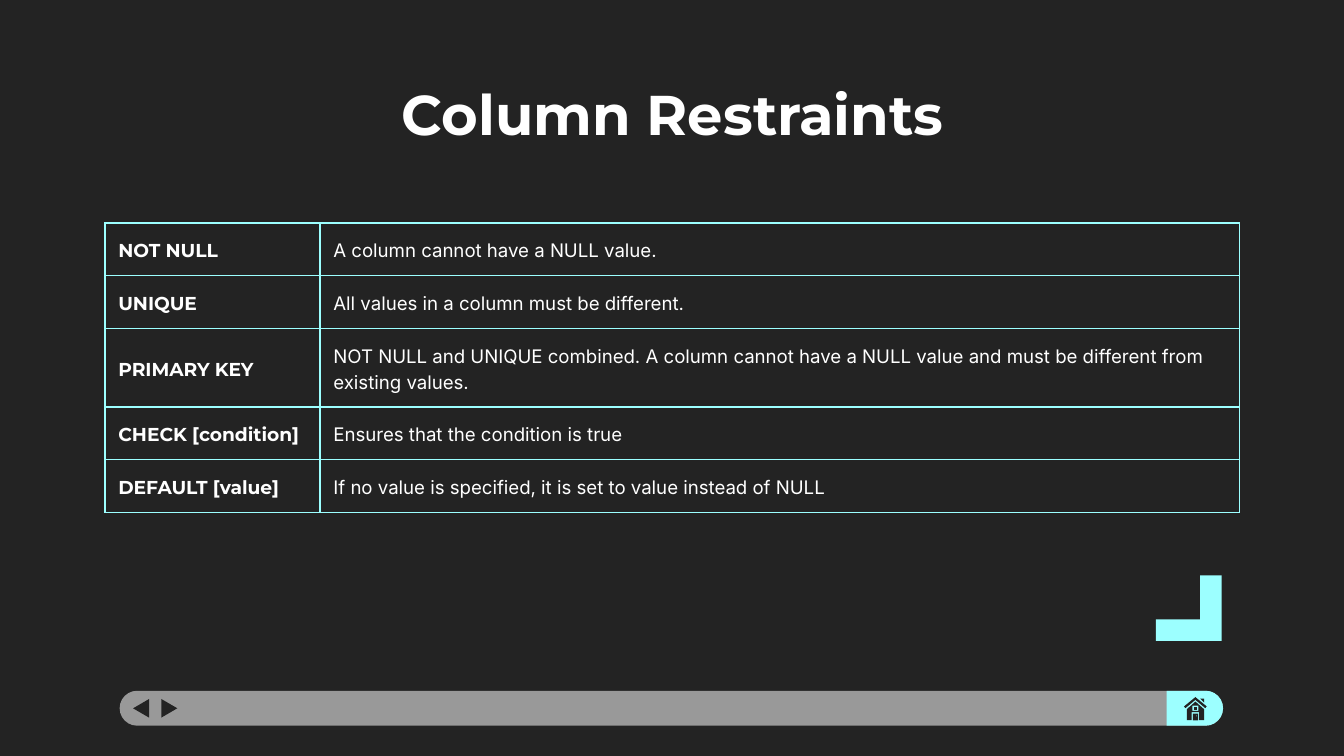
from dataclasses import dataclass
from lxml.etree import SubElement
from pptx import Presentation
from pptx.dml.color import RGBColor
from pptx.enum.shapes import MSO_SHAPE
from pptx.enum.text import MSO_ANCHOR, PP_ALIGN
from pptx.oxml.ns import qn
from pptx.util import Pt

TITLE = "Column Restraints"
ROWS = [
    ("NOT NULL", "A column cannot have a NULL value."),
    ("UNIQUE", "All values in a column must be different."),
    ("PRIMARY KEY", "NOT NULL and UNIQUE combined. A column cannot have a NULL "
     "value and must be different from existing values."),
    ("CHECK [condition]", "Ensures that the condition is true"),
    ("DEFAULT [value]", "If no value is specified, it is set to value instead of NULL"),
]


@dataclass(frozen=True)
class Theme:
    back: str = "232323"
    text: str = "FFFFFF"
    glow: str = "9CFFFF"
    bar: str = "999999"
    head: str = "Montserrat"
    body: str = "Inter"
    big: float = 30
    small: float = 10
    line: float = 0.75
    pad: float = 7.2


THEME = Theme()
WIDTHS = (115.2, 492.5)
ROW = 27.4
BAR = (64.1, 370.1, 591.1, 18.7)
CAP = 30.2
ARROWS = ((75.6, 270), (90.7, 90))


def rect(left, top, right, low):
    return [(left, top), (right, top), (right, low), (left, low)]


BRACKET = [[(654.5, 343.4), (654.5, 308.2), (642.9, 308.2),
            (642.9, 331.9), (619.2, 331.9), (619.2, 343.4)]]
HOME = [
    [[(640.4, 373.5), (646.5, 378.5), (645.7, 379.4),
      (640.4, 375), (635.1, 379.4), (634.3, 378.5)]],
    [[(643, 374.3), (645.1, 374.3), (645.1, 376.4)]],
    [[(640.4, 375.9), (645, 379.9), (645, 385.8), (642.4, 385.8), (642.4, 381.6),
      (638.4, 381.6), (638.4, 385.8), (635.8, 385.8), (635.8, 379.9)],
     rect(638.8, 378, 642, 380.9)],
    [rect(639.5, 378.7, 641.3, 380.2)],
    [rect(639, 382.3, 641.8, 385.9), rect(640.7, 383.2, 641.2, 383.8)],
]


def paint(shape, color):
    shape.shadow.inherit = False
    shape.fill.solid()
    shape.fill.fore_color.rgb = RGBColor.from_string(color)
    shape.line.fill.background()


def add(slide, kind, box, color, turn=0):
    shape = slide.shapes.add_shape(kind, *map(Pt, box))
    shape.rotation = turn
    paint(shape, color)
    return shape


def draw(slide, loops, color):
    first, *rest = [[(Pt(x), Pt(y)) for x, y in loop] for loop in loops]
    pen = slide.shapes.build_freeform(*first[0], scale=1)
    pen.add_line_segments(first[1:], close=True)
    for loop in rest:
        pen.move_to(*loop[0])
        pen.add_line_segments(loop[1:], close=True)
    paint(pen.convert_to_shape(), color)


def style(para, face, size, bold):
    font = para.font
    font.name, font.size, font.bold = face, Pt(size), bold
    font.color.rgb = RGBColor.from_string(THEME.text)


def inset(item):
    item.margin_left = item.margin_right = Pt(THEME.pad)
    item.margin_top = item.margin_bottom = Pt(THEME.pad)


def edge(cell):
    props = cell._tc.get_or_add_tcPr()
    for side in ("lnL", "lnR", "lnT", "lnB"):
        line = SubElement(props, qn(f"a:{side}"), w=str(Pt(THEME.line)))
        fill = SubElement(line, qn("a:solidFill"))
        SubElement(fill, qn("a:srgbClr"), val=THEME.glow)


def add_nav(slide):
    left, top, width, height = BAR
    mid = top + height / 2
    bar = add(slide, MSO_SHAPE.ROUNDED_RECTANGLE, BAR, THEME.bar)
    bar.adjustments[0] = 0.5
    box = (left + width - (CAP + height) / 2, mid - CAP / 2, height, CAP)
    cap = add(slide, MSO_SHAPE.ROUND_2_SAME_RECTANGLE, box, THEME.glow, 90)
    cap.adjustments[0] = 0.5
    for x, turn in ARROWS:
        box = (x - 5, mid - 4.3, 10, 8.6)
        add(slide, MSO_SHAPE.ISOSCELES_TRIANGLE, box, THEME.back, turn)
    for loops in HOME:
        draw(slide, loops, THEME.back)


def add_title(slide):
    frame = slide.shapes.add_textbox(Pt(56.9), Pt(35.3), Pt(607), Pt(45.4)).text_frame
    frame.word_wrap = True
    frame.vertical_anchor = MSO_ANCHOR.TOP
    inset(frame)
    para = frame.paragraphs[0]
    para.text = TITLE
    para.alignment = PP_ALIGN.CENTER
    style(para, THEME.head, THEME.big, True)


def add_grid(slide):
    grid = slide.shapes.add_table(
        len(ROWS), len(WIDTHS), Pt(56.2), Pt(119.5),
        Pt(sum(WIDTHS)), Pt(ROW * len(ROWS))).table
    grid.first_row = grid.horz_banding = False
    for col, width in zip(grid.columns, WIDTHS):
        col.width = Pt(width)
    for row, texts in zip(grid.rows, ROWS):
        row.height = Pt(ROW)
        for cell, text, face in zip(row.cells, texts, (THEME.head, THEME.body)):
            edge(cell)
            cell.fill.background()
            cell.vertical_anchor = MSO_ANCHOR.MIDDLE
            inset(cell)
            para = cell.text_frame.paragraphs[0]
            para.text = text
            para.line_spacing = 1.15
            style(para, face, THEME.small, face == THEME.head)


def main():
    deck = Presentation()
    deck.slide_width, deck.slide_height = Pt(720), Pt(405)
    slide = deck.slides.add_slide(deck.slide_layouts[6])
    slide.background.fill.solid()
    slide.background.fill.fore_color.rgb = RGBColor.from_string(THEME.back)
    add_nav(slide)
    add_title(slide)
    draw(slide, BRACKET, THEME.glow)
    add_grid(slide)
    deck.save("out.pptx")


if __name__ == "__main__":
    main()
